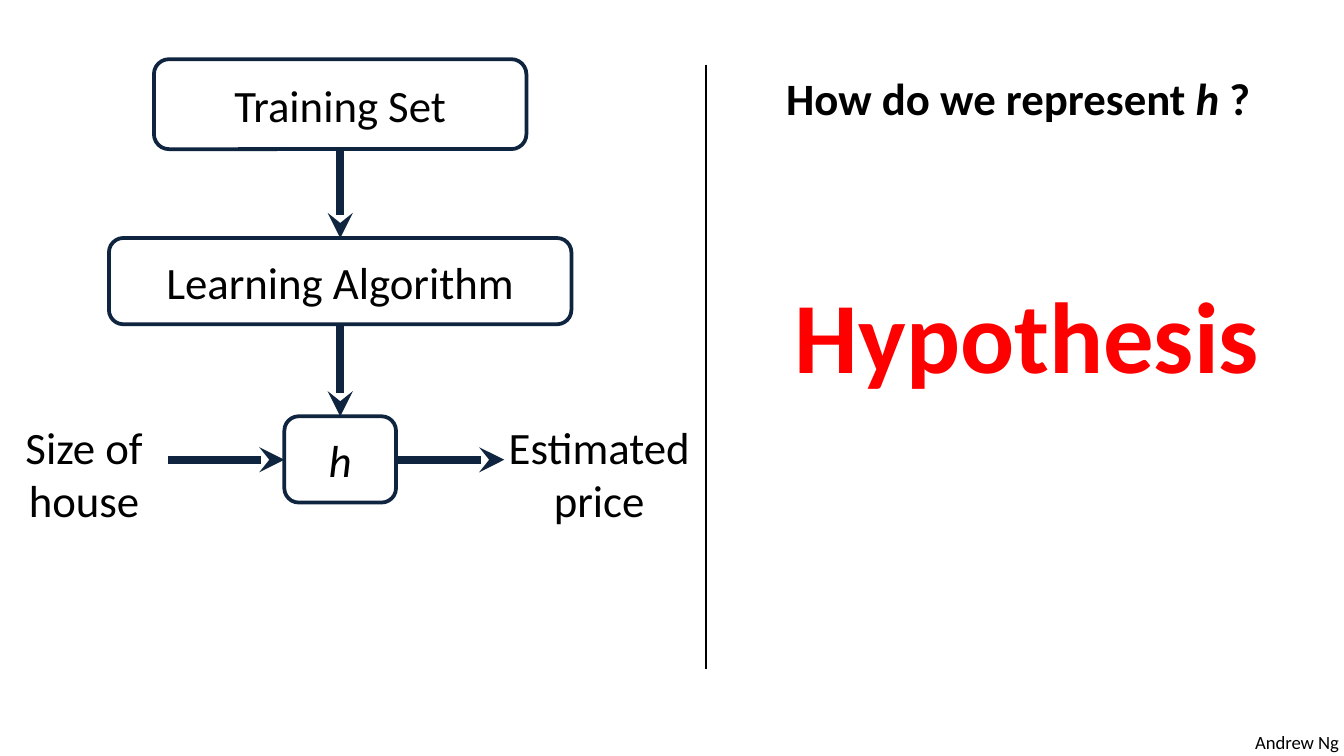
from lxml import etree
from pptx import Presentation
from pptx.dml.color import RGBColor
from pptx.enum import shapes, text
from pptx.oxml import ns
from pptx.util import Cm, Pt

BLACK = RGBColor(0x00, 0x00, 0x00)
NAVY = RGBColor(0x0F, 0x24, 0x3E)
RED = RGBColor(0xFF, 0x00, 0x00)
FONT = "Calibri"

FLOW_CENTER = 6.43
FLOW_Y = 8.69
STEPS = [
    ("Training Set", 1.12, 7.04, 1.7, False),
    ("Learning Algorithm", 4.5, 8.74, 1.63, False),
    ("h", 7.87, 2.11, 1.63, True),
]
INPUT_END, OUTPUT_START = 3.18, 9.53
LABELS = [
    ("Size of house", (0, 7.8, INPUT_END, 2.31), 24, BLACK, False),
    ("Estimated price", (9.32, 7.8, 4.01, 2.31), 24, BLACK, False),
    ("Hypothesis", (14.4, 5.03, 10.03, 2.95), 54, RED, True),
]
QUESTION = [("How do we represent ", False), ("h", True), (" ?", False)]
DIVIDER = ((13.34, 1.22), (13.34, 12.65))


def style(span, size=24, color=BLACK, bold=False, italic=False):
    font = span.font
    font.name, font.size = FONT, Pt(size)
    font.bold, font.italic = bold, italic
    font.color.rgb = color


def add_box(page, place, wrap=True):
    box = page.shapes.add_textbox(*map(Cm, place))
    box.text_frame.word_wrap = wrap
    return box.text_frame.paragraphs[0]


def add_line(page, start, end, color, width, arrow=False):
    line = page.shapes.add_connector(
        shapes.MSO_CONNECTOR.STRAIGHT, *map(Cm, start + end))
    line.line.color.rgb = color
    line.line.width = Pt(width)
    if arrow:
        outline = line.line._get_or_add_ln()
        etree.SubElement(outline, ns.qn("a:tailEnd"), type="stealth")
    etree.SubElement(line._element.spPr, ns.qn("a:effectLst"))


def add_step(page, label, top, width, height, italic):
    left = FLOW_CENTER - width / 2
    step = page.shapes.add_shape(
        shapes.MSO_SHAPE.ROUNDED_RECTANGLE,
        *map(Cm, (left, top, width, height)))
    step.shadow.inherit = False
    step.fill.background()
    step.line.color.rgb = NAVY
    step.line.width = Pt(2)
    frame = step.text_frame
    frame.text = label
    frame.vertical_anchor = text.MSO_ANCHOR.MIDDLE
    para = frame.paragraphs[0]
    para.alignment = text.PP_ALIGN.CENTER
    style(para.runs[0], italic=italic)


def main():
    deck = Presentation()
    deck.slide_width, deck.slide_height = Cm(25.4), Cm(14.29)
    page = deck.slides.add_slide(deck.slide_layouts[6])

    credit = add_box(page, (23.47, 13.69, 2.13, 0.69), wrap=False)
    credit.text = "Andrew Ng"
    style(credit.runs[0], size=10)

    add_line(page, *DIVIDER, BLACK, 1.25)
    for step in STEPS:
        add_step(page, *step)
    for label, place, size, color, bold in LABELS:
        para = add_box(page, place)
        para.text = label
        para.alignment = text.PP_ALIGN.CENTER
        style(para.runs[0], size, color, bold)

    half = STEPS[-1][2] / 2
    arrows = [
        ((FLOW_CENTER, upper[1] + upper[3]), (FLOW_CENTER, lower[1]))
        for upper, lower in zip(STEPS, STEPS[1:])
    ] + [
        ((INPUT_END, FLOW_Y), (FLOW_CENTER - half, FLOW_Y)),
        ((FLOW_CENTER + half, FLOW_Y), (OUTPUT_START, FLOW_Y)),
    ]
    for start, end in arrows:
        add_line(page, start, end, NAVY, 4.5, arrow=True)

    question = add_box(page, (14.61, 1.22, 9.37, 1.27), wrap=False)
    for words, italic in QUESTION:
        span = question.add_run()
        span.text = words
        style(span, bold=True, italic=italic)

    deck.save("out.pptx")


if __name__ == "__main__":
    main()
